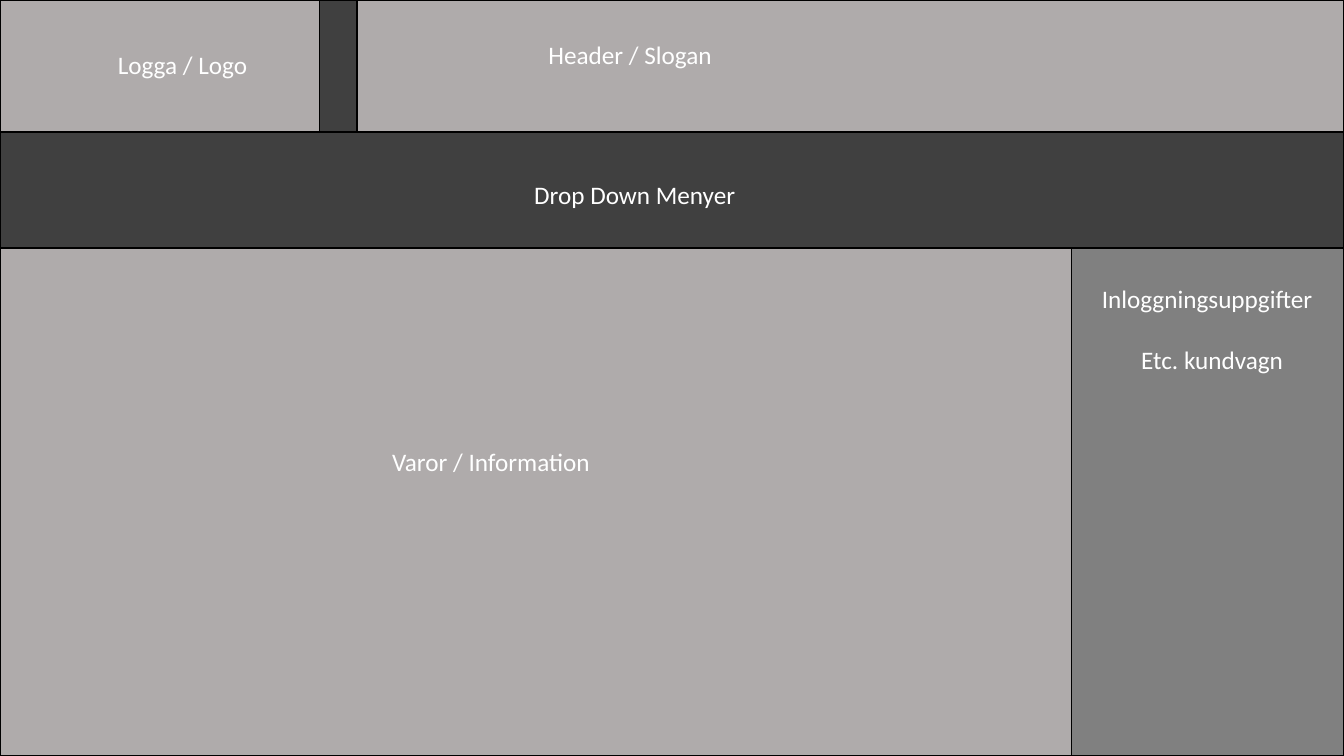
from pptx import Presentation
from pptx.dml.color import RGBColor
from pptx.enum.shapes import MSO_SHAPE as Shape
from pptx.enum.text import MSO_AUTO_SIZE as AutoSize
from pptx.util import Inches, Pt

COLORS = {
    "panel": "AFABAB",
    "bar": "404040",
    "sidebar": "808080",
    "outline": "000000",
    "text": "FFFFFF",
}
PAGE_WIDTH, PAGE_HEIGHT = 13.33, 7.5
HEADER_BOTTOM, MENU_BOTTOM = 1.31, 2.46
SIDEBAR_LEFT = 10.63


def color(name):
    """Return the named colour."""
    return RGBColor.from_string(COLORS[name])


def add_region(page, fill, left, top, right, bottom):
    """Add an outlined rectangle between the given edges."""
    region = page.shapes.add_shape(
        Shape.RECTANGLE, Inches(left), Inches(top),
        Inches(right - left), Inches(bottom - top))
    region.shadow.inherit = False
    region.fill.solid()
    region.fill.fore_color.rgb = color(fill)
    region.line.color.rgb = color("outline")
    region.line.width = Pt(1)


def add_label(page, text, left, top, width, height=0.4):
    """Add a white text label and return its paragraphs."""
    box = page.shapes.add_textbox(
        Inches(left), Inches(top), Inches(width), Inches(height))
    frame = box.text_frame
    frame.text = text
    frame.word_wrap = True
    frame.auto_size = AutoSize.SHAPE_TO_FIT_TEXT
    for para in frame.paragraphs:
        for span in para.runs:
            span.font.name = "Calibri"
            span.font.size = Pt(18)
            span.font.color.rgb = color("text")
    return frame.paragraphs


def main():
    """Build the web page layout sketch."""
    deck = Presentation()
    deck.slide_width = Inches(PAGE_WIDTH)
    deck.slide_height = Inches(PAGE_HEIGHT)
    page = deck.slides.add_slide(deck.slide_layouts[6])

    add_region(page, "panel", 0, 0, PAGE_WIDTH, HEADER_BOTTOM)
    add_region(page, "panel", 0, MENU_BOTTOM, PAGE_WIDTH, PAGE_HEIGHT)
    add_region(page, "bar", 0, HEADER_BOTTOM, PAGE_WIDTH, MENU_BOTTOM)
    add_region(page, "bar", 3.17, 0, 3.54, HEADER_BOTTOM)
    add_region(page, "sidebar", SIDEBAR_LEFT, MENU_BOTTOM, PAGE_WIDTH, PAGE_HEIGHT)

    add_label(page, "Header / Slogan", 5.34, 0.34, 2.99)
    add_label(page, "Logga / Logo", 1.07, 0.44, 1.65)
    add_label(page, "Drop Down Menyer", 5.2, 1.73, 3.79)
    add_label(page, "Varor / Information", 3.79, 4.38, 5.75)
    login, cart = add_label(
        page, "Inloggningsuppgifter\nEtc. kundvagn", 10.83, 2.76, 2.51, 1.01)
    cart.space_before = Pt(22)
    cart_format = cart._p.get_or_add_pPr()
    cart_format.set("marL", str(Inches(0.39)))
    cart_format.set("indent", "0")

    deck.save("out.pptx")


main()
